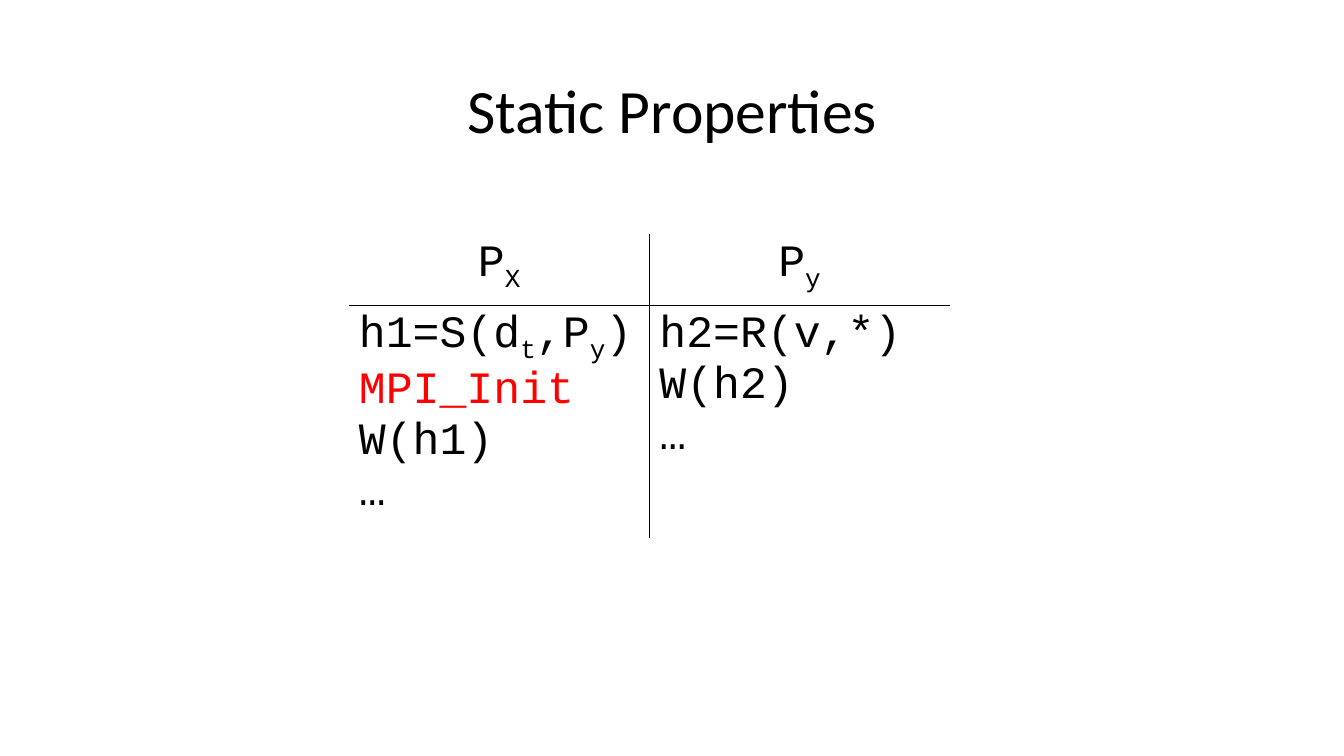
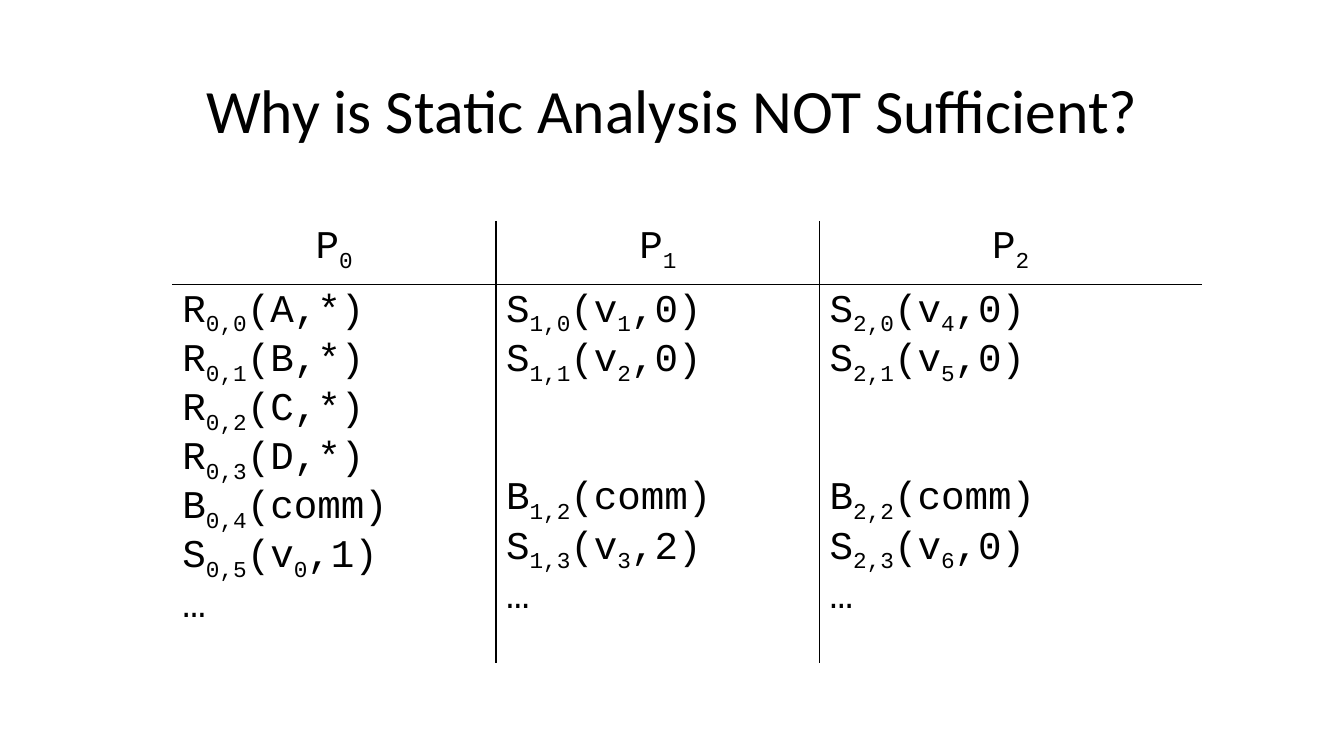
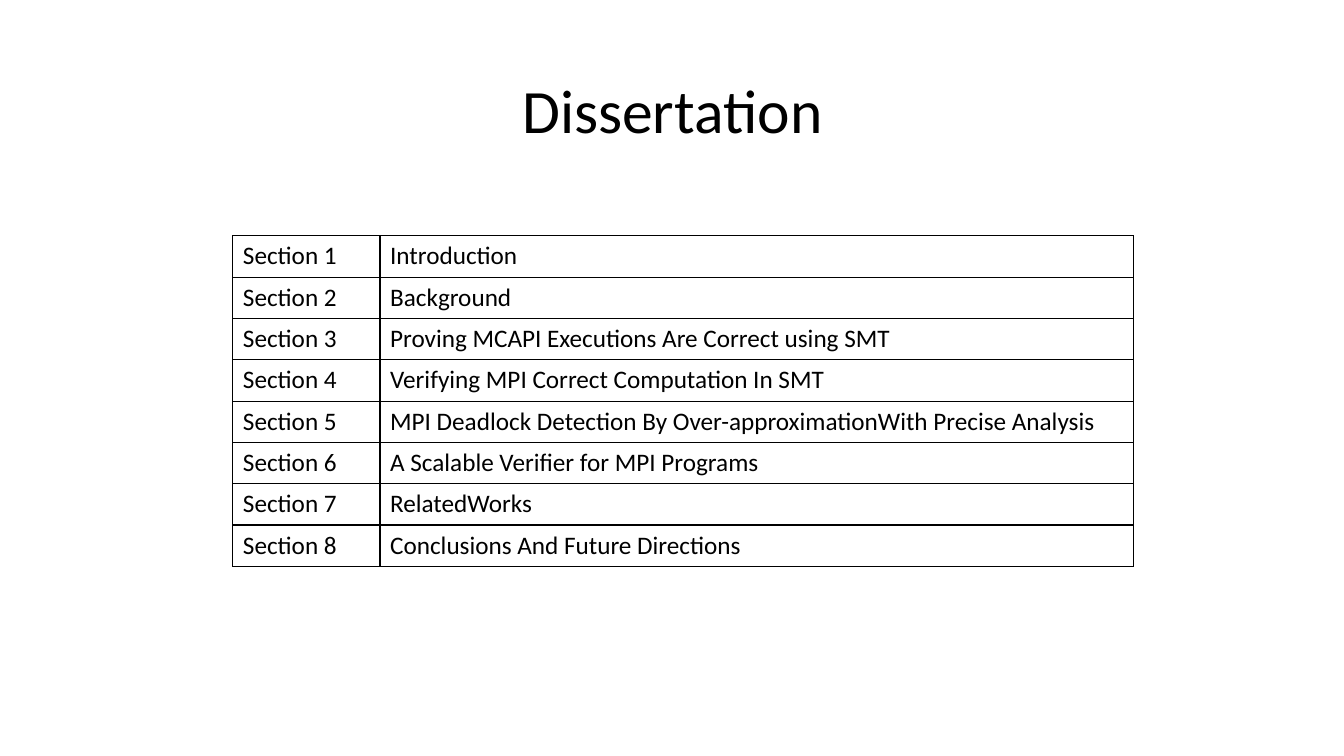
from lxml import etree
from pptx import Presentation
from pptx.dml.color import RGBColor
from pptx.enum.text import MSO_ANCHOR, PP_ALIGN
from pptx.oxml.ns import qn
from pptx.util import Inches, Pt

CENTER = PP_ALIGN.CENTER
LEFT = PP_ALIGN.LEFT
MIDDLE = MSO_ANCHOR.MIDDLE
BLANK_LAYOUT = 6
COLORS = {"text": "000000", "highlight": "FF0000", "border": "000000"}
TITLE_FONT = "Calibri"
CODE_FONT = "Courier New"
BARRIER_GAP = 64

SECTIONS = [
    "Introduction",
    "Background",
    "Proving MCAPI Executions Are Correct using SMT",
    "Verifying MPI Correct Computation In SMT",
    "MPI Deadlock Detection By Over-approximationWith Precise Analysis",
    "A Scalable Verifier for MPI Programs",
    "RelatedWorks",
    "Conclusions And Future Directions",
]


def style_font(font, name, size, color="text"):
    font.name = name
    font.size = Pt(size)
    font.color.rgb = RGBColor.from_string(COLORS[color])


def add_titled_slide(presentation, title):
    slide = presentation.slides.add_slide(presentation.slide_layouts[BLANK_LAYOUT])
    box = slide.shapes.add_textbox(Inches(0.92), Inches(0.4), Inches(11.5), Inches(1.45))
    text_frame = box.text_frame
    text_frame.word_wrap = True
    text_frame.vertical_anchor = MIDDLE
    text_frame.text = title
    paragraph = text_frame.paragraphs[0]
    paragraph.alignment = CENTER
    paragraph.line_spacing = 0.9
    style_font(paragraph.runs[0].font, TITLE_FONT, 44)
    return slide


def set_borders(cell, visible_sides):
    properties = cell._tc.get_or_add_tcPr()
    for side in ("L", "R", "T", "B"):
        line = etree.SubElement(properties, qn(f"a:ln{side}"), w=str(Pt(1)))
        if side in visible_sides:
            fill = etree.SubElement(line, qn("a:solidFill"))
            etree.SubElement(fill, qn("a:srgbClr"), val=COLORS["border"])
        else:
            etree.SubElement(line, qn("a:noFill"))


def add_plain_table(slide, left, top, widths, heights, outer_border):
    rows, columns = len(heights), len(widths)
    table = slide.shapes.add_table(
        rows, columns, Inches(left), Inches(top), Inches(sum(widths)), Inches(sum(heights))
    ).table
    table.first_row = False
    table.horz_banding = False
    for column, width in zip(table.columns, widths):
        column.width = Inches(width)
    for row, height in zip(table.rows, heights):
        row.height = Inches(height)
    for r in range(rows):
        for c in range(columns):
            edges = {"L": c == 0, "R": c == columns - 1, "T": r == 0, "B": r == rows - 1}
            cell = table.cell(r, c)
            set_borders(cell, [side for side, outer in edges.items() if outer_border or not outer])
            cell.fill.background()
    return table


def write_code_line(paragraph, line, size, color):
    for index, part in enumerate(line.replace("}", "{").split("{")):
        if part:
            run = paragraph.add_run()
            run.text = part
            style_font(run.font, CODE_FONT, size, color)
            if index % 2:
                run._r.get_or_add_rPr().set("baseline", "-25000")


def write_code(cell, lines, size, alignment=LEFT, highlighted=(), spaced=()):
    text_frame = cell.text_frame
    for index, line in enumerate(lines):
        paragraph = text_frame.add_paragraph() if index else text_frame.paragraphs[0]
        paragraph.alignment = alignment
        if line in spaced:
            paragraph.space_before = Pt(BARRIER_GAP)
        write_code_line(paragraph, line, size, "highlight" if line in highlighted else "text")


def add_process_table(slide, left, top, widths, heights, size, processes, **marks):
    table = add_plain_table(slide, left, top, widths, heights, outer_border=False)
    for column, (process, calls) in enumerate(processes.items()):
        write_code(table.cell(0, column), [process], size, CENTER)
        write_code(table.cell(1, column), calls, size, **marks)


def add_section_table(slide):
    table = add_plain_table(
        slide, 2.31, 2.34, [1.46, 7.47], [0.41] * len(SECTIONS), outer_border=True
    )
    for row, heading in enumerate(SECTIONS):
        for column, text in enumerate((f"Section {row + 1}", heading)):
            cell = table.cell(row, column)
            cell.text_frame.text = text
            style_font(cell.text_frame.paragraphs[0].runs[0].font, TITLE_FONT, 18)


def main():
    presentation = Presentation()
    presentation.slide_width = Inches(13.33)
    presentation.slide_height = Inches(7.5)

    slide = add_titled_slide(presentation, "Static Properties")
    add_process_table(
        slide, 3.46, 2.32, [2.98, 2.98], [0.65, 2.17], 32,
        {
            "P{X}": ["h1=S(d{t},P{y})", "MPI_Init", "W(h1)", "…"],
            "P{y}": ["h2=R(v,*)", "W(h2)", "…"],
        },
        highlighted=["MPI_Init"],
    )

    slide = add_titled_slide(presentation, "Why is Static Analysis NOT Sufficient?")
    add_process_table(
        slide, 1.71, 2.19, [3.21, 3.21, 3.79], [0.58, 3.46], 28,
        {
            "P{0}": ["R{0,0}(A,*)", "R{0,1}(B,*)", "R{0,2}(C,*)", "R{0,3}(D,*)",
                     "B{0,4}(comm)", "S{0,5}(v{0},1)", "…"],
            "P{1}": ["S{1,0}(v{1},0)", "S{1,1}(v{2},0)", "B{1,2}(comm)", "S{1,3}(v{3},2)", "…"],
            "P{2}": ["S{2,0}(v{4},0)", "S{2,1}(v{5},0)", "B{2,2}(comm)", "S{2,3}(v{6},0)", "…"],
        },
        spaced=["B{1,2}(comm)", "B{2,2}(comm)"],
    )

    slide = add_titled_slide(presentation, "Dissertation")
    add_section_table(slide)

    presentation.save("out.pptx")


if __name__ == "__main__":
    main()
